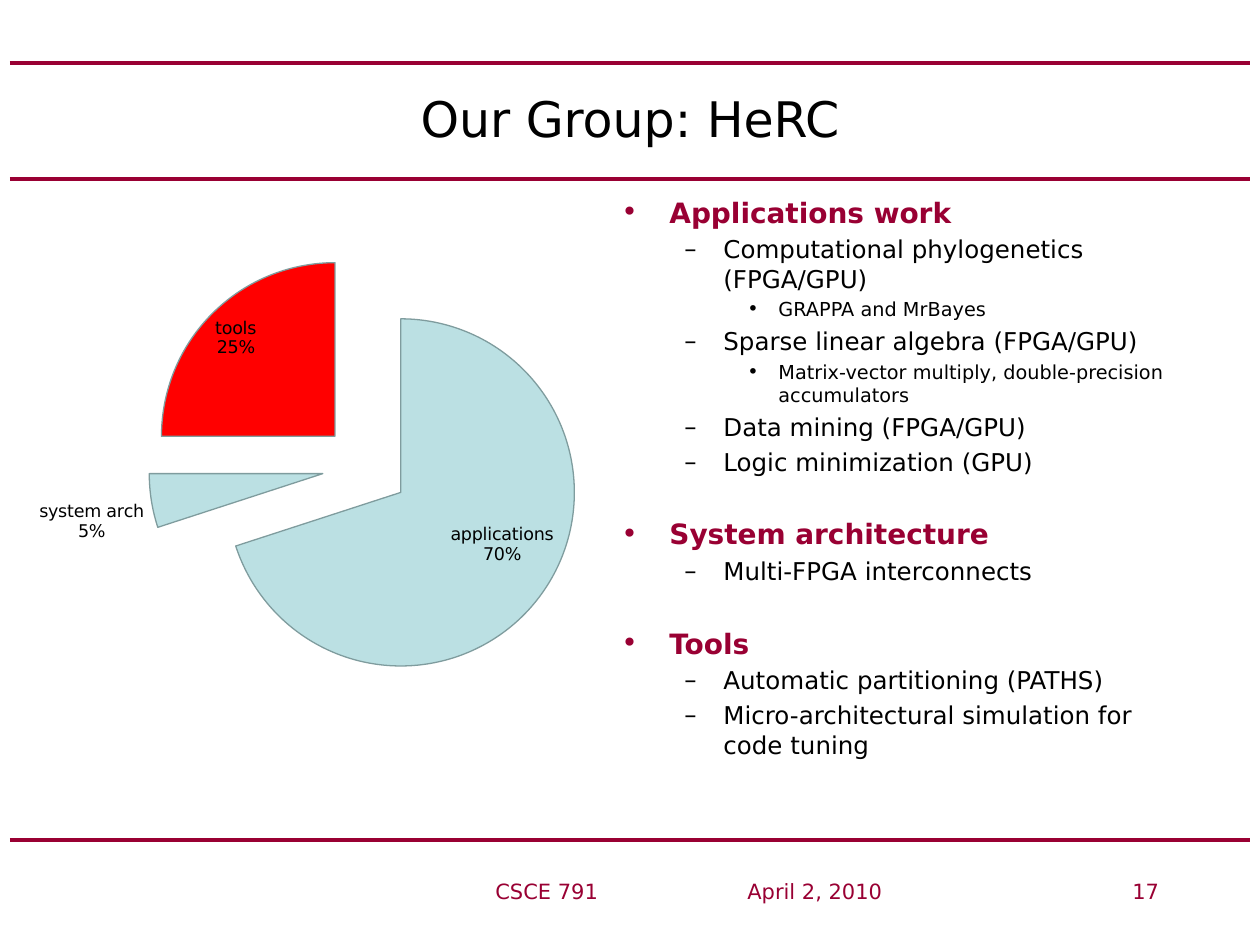
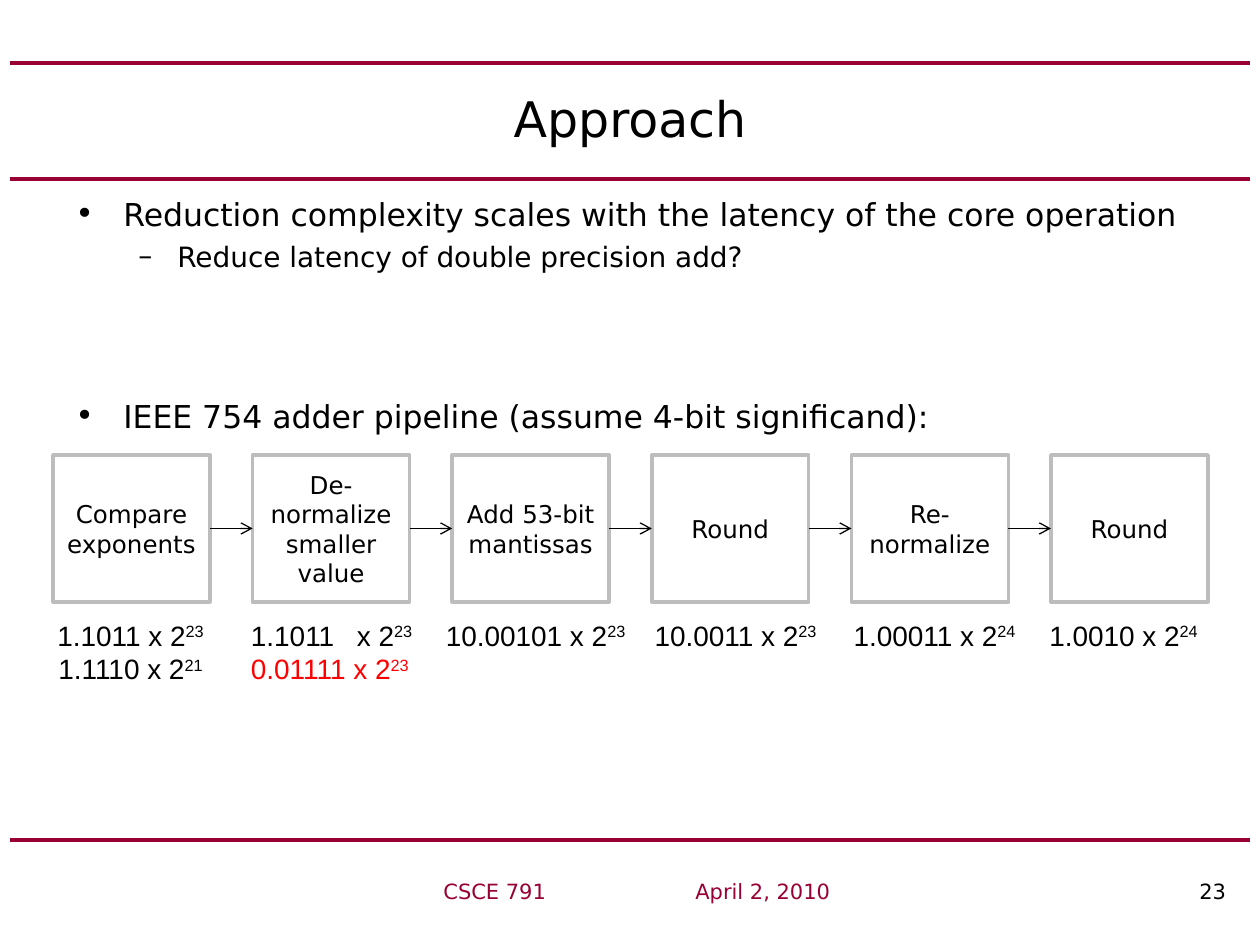
from lxml import etree
from pptx import Presentation
from pptx.chart.data import CategoryChartData
from pptx.dml.color import RGBColor
from pptx.enum.chart import XL_CHART_TYPE, XL_LABEL_POSITION
from pptx.enum.shapes import MSO_CONNECTOR, MSO_SHAPE
from pptx.enum.text import MSO_ANCHOR, PP_ALIGN
from pptx.oxml import parse_xml
from pptx.oxml.ns import nsdecls, qn
from pptx.util import Emu, Pt

PIE = XL_CHART_TYPE.PIE
FIT = XL_LABEL_POSITION.BEST_FIT
LINE = MSO_CONNECTOR.STRAIGHT
RECT = MSO_SHAPE.RECTANGLE
TOP, MID = MSO_ANCHOR.TOP, MSO_ANCHOR.MIDDLE
LEFT, CENTER = PP_ALIGN.LEFT, PP_ALIGN.CENTER

BLACK = RGBColor(0, 0, 0)
WHITE = RGBColor(255, 255, 255)
RED = RGBColor(255, 0, 0)
WINE = RGBColor(0x99, 0x00, 0x33)
GRAY = RGBColor(0xBD, 0xBD, 0xBD)
AQUA = RGBColor(0xBB, 0xE0, 0xE3)
SLATE = RGBColor(0x7F, 0x9C, 0x9E)
SANS, ARIAL = "DejaVu Sans", "Arial"

# Content: outlines hold (level, text, blank lines' worth of points above)
GROUP = [
    (0, "Applications work", 0),
    (1, "Computational phylogenetics (FPGA/GPU)", 0),
    (2, "GRAPPA and MrBayes", 0),
    (1, "Sparse linear algebra (FPGA/GPU)", 0),
    (2, "Matrix-vector multiply, double-precision accumulators", 0),
    (1, "Data mining (FPGA/GPU)", 0),
    (1, "Logic minimization (GPU)", 0),
    (0, "System architecture", 19.5),
    (1, "Multi-FPGA interconnects", 0),
    (0, "Tools", 19.5),
    (1, "Automatic partitioning (PATHS)", 0),
    (1, "Micro-architectural simulation for code tuning", 0),
]
PLAN = [
    (0, "Reduction complexity scales with the latency of the core operation", 0),
    (1, "Reduce latency of double precision add?", 0),
    (0, "IEEE 754 adder pipeline (assume 4-bit significand):", 66.5),
]
SHARES = [("applications", 70, AQUA), ("system arch", 5, AQUA), ("tools", 25, RED)]
# Stage label, left and width of its values, values as (text, power, colour)
STAGES = [
    ("Compare exponents", 31, 199,
     [("1.1011 x 2", 23, BLACK), ("1.1110 x 2", 21, BLACK)]),
    ("De-normalize smaller value", 231, 199,
     [("1.1011\tx 2", 23, BLACK), ("0.01111 x 2", 23, RED)]),
    ("Add 53-bit mantissas", 420, 231, [("10.00101 x 2", 23, BLACK)]),
    ("Round", 620, 231, [("10.0011 x 2", 23, BLACK)]),
    ("Re-normalize", 819, 231, [("1.00011 x 2", 24, BLACK)]),
    ("Round", 1008, 231, [("1.0010 x 2", 24, BLACK)]),
]

# Layout, in px
RULES = (63, 179, 840)
INDENTS = [(48, 48, "•"), (102, 39, "–"), (157, 31, "•")]
ROW_LEFT, ROW_RIGHT, ROW_TOP = 53, 1208, 455
BOX_W, BOX_H = 157, 147


def px(n):
    return Emu(round(n * 914400 / 126))


def style(font, size, color=BLACK, name=SANS, bold=False):
    font.size, font.name, font.bold = Pt(size), name, bold
    font.color.rgb = color


def text_box(slide, left, top, width, height, anchor=TOP):
    frame = slide.shapes.add_textbox(px(left), px(top), px(width), px(height)).text_frame
    frame.word_wrap = True
    frame.vertical_anchor = anchor
    return frame


def lines(frame, count):
    """Return the frame's paragraphs, grown to count."""
    return [frame.paragraphs[0]] + [frame.add_paragraph() for _ in range(count - 1)]


def set_tabs(para, stops):
    tabs = etree.SubElement(para._p.get_or_add_pPr(), qn("a:tabLst"))
    for stop in stops:
        etree.SubElement(tabs, qn("a:tab"), pos=str(px(stop)), algn="l")


def add_line(slide, ends, color, width):
    line = slide.shapes.add_connector(LINE, *map(px, ends))
    line.line.color.rgb = color
    line.line.width = Pt(width)
    etree.SubElement(line._element.spPr, qn("a:effectLst"))
    return line


def add_frame(deck, title, stops, number, color):
    """Add a slide with its rules, title and footer."""
    slide = deck.slides.add_slide(deck.slide_layouts[6])
    for y in RULES:
        add_line(slide, (10, y, 1250, y), WINE, 2.25)
    head = text_box(slide, 63, 63, 1134, 110, MID).paragraphs[0]
    head.text, head.alignment = title, CENTER
    style(head.font, 28)
    foot = text_box(slide, 357, 872, 882, 42).paragraphs[0]
    set_tabs(foot, stops)
    style(foot.font, 12, WINE)
    foot.add_run().text = "\tCSCE 791\tApril 2, 2010\t"
    page = foot.add_run()
    page.text = number
    page.font.color.rgb = color
    return slide


def add_outline(slide, place, items, sizes, top_color, top_bold):
    frame = text_box(slide, *place)
    for i, (para, (level, text, gap)) in enumerate(zip(lines(frame, len(items)), items)):
        para.text, para.level = text, level
        margin, hang, mark = INDENTS[level]
        props = para._p.get_or_add_pPr()
        props.set("marL", str(px(margin)))
        props.set("indent", str(-px(hang)))
        etree.SubElement(props, qn("a:buFont"), typeface=SANS)
        etree.SubElement(props, qn("a:buChar"), char=mark)
        size = sizes[level]
        if i:
            para.space_before = Pt(round(size * 0.23 + gap, 1))
        if level:
            style(para.font, size)
        else:
            style(para.font, size, top_color, bold=top_bold)


def add_pie(slide):
    data = CategoryChartData()
    data.categories = [name for name, _, _ in SHARES]
    data.add_series("Series 1", [value for _, value, _ in SHARES])
    chart = slide.shapes.add_chart(PIE, px(0), px(231), px(620), px(472), data).chart
    chart.has_title = chart.has_legend = False
    style(chart.font, 10)
    plot = chart.plots[0]
    plot.vary_by_categories = True
    series = plot.series[0]
    series.format.line.color.rgb = SLATE
    series._element.spPr.addnext(
        parse_xml(f'<c:explosion {nsdecls("c")} val="25"/>'))
    for i, (_, _, color) in enumerate(SHARES):
        look = series.points[i].format
        look.fill.solid()
        look.fill.fore_color.rgb = color
        look.line.color.rgb = SLATE
        look.line.width = Pt(0.75)

    plot.has_data_labels = True
    labels = plot.data_labels
    labels.show_value = False
    labels.show_category_name = labels.show_percentage = True
    labels.position = FIT
    style(labels.font, 10)
    split = parse_xml(f'<c:separator {nsdecls("c")}>\n</c:separator>')
    labels._element.find(qn("c:showBubbleSize")).addnext(split)

    area = chart._chartSpace.chart.plotArea
    for old in area.findall(qn("c:layout")):
        area.remove(old)
    spot = "".join(f'<c:{key} val="{val}"/>' for key, val in [
        ("layoutTarget", "inner"), ("xMode", "edge"), ("yMode", "edge"),
        ("x", 0.24), ("y", 0.04), ("w", 0.7), ("h", 0.92)])
    area.insert(0, parse_xml(
        f'<c:layout {nsdecls("c")}><c:manualLayout>{spot}</c:manualLayout></c:layout>'))


def add_stage(slide, left, label):
    box = slide.shapes.add_shape(RECT, px(left), px(ROW_TOP), px(BOX_W), px(BOX_H))
    box.shadow.inherit = False
    box.fill.solid()
    box.fill.fore_color.rgb = WHITE
    box.line.color.rgb = GRAY
    box.line.width = Pt(2)
    frame = box.text_frame
    frame.word_wrap, frame.vertical_anchor = True, MID
    para = frame.paragraphs[0]
    para.text, para.alignment = label, CENTER
    style(para.font, 14)
    return box


def add_values(slide, left, width, values):
    frame = text_box(slide, left, 612, width, 34 * len(values) + 13)
    tabbed = any("\t" in text for text, _, _ in values)
    if tabbed:
        frame.margin_left = px(20)
    for para, (text, power, color) in zip(lines(frame, len(values)), values):
        para.alignment = LEFT if tabbed else CENTER
        if "\t" in text:
            set_tabs(para, [106])
        style(para.font, 16, color, ARIAL)
        para.add_run().text = text
        raised = para.add_run()
        raised.text = str(power)
        raised._r.get_or_add_rPr().set("baseline", "30000")


def add_pipeline(slide):
    step = (ROW_RIGHT - ROW_LEFT - BOX_W) / (len(STAGES) - 1)
    boxes = []
    for i, (label, left, width, values) in enumerate(STAGES):
        boxes.append(add_stage(slide, ROW_LEFT + i * step, label))
        add_values(slide, left, width, values)
    for here, there in zip(boxes, boxes[1:]):
        arrow = add_line(slide, (0, 0, 0, 0), BLACK, 0.75)
        arrow.begin_connect(here, 3)
        arrow.end_connect(there, 1)
        etree.SubElement(arrow.line._get_or_add_ln(), qn("a:tailEnd"), type="arrow")


def main():
    deck = Presentation()
    deck.slide_width, deck.slide_height = px(1260), px(945)

    group = add_frame(deck, "Our Group: HeRC", (126, 378, 763), "17", WINE)
    add_outline(group, (609, 189, 588, 640), GROUP, (16, 14, 11), WINE, True)
    add_pie(group)

    plan = add_frame(deck, "Approach", (74, 326, 830), "23", BLACK)
    add_outline(plan, (63, 189, 1134, 431), PLAN, (18, 16), BLACK, False)
    add_pipeline(plan)

    deck.save("out.pptx")


if __name__ == "__main__":
    main()
